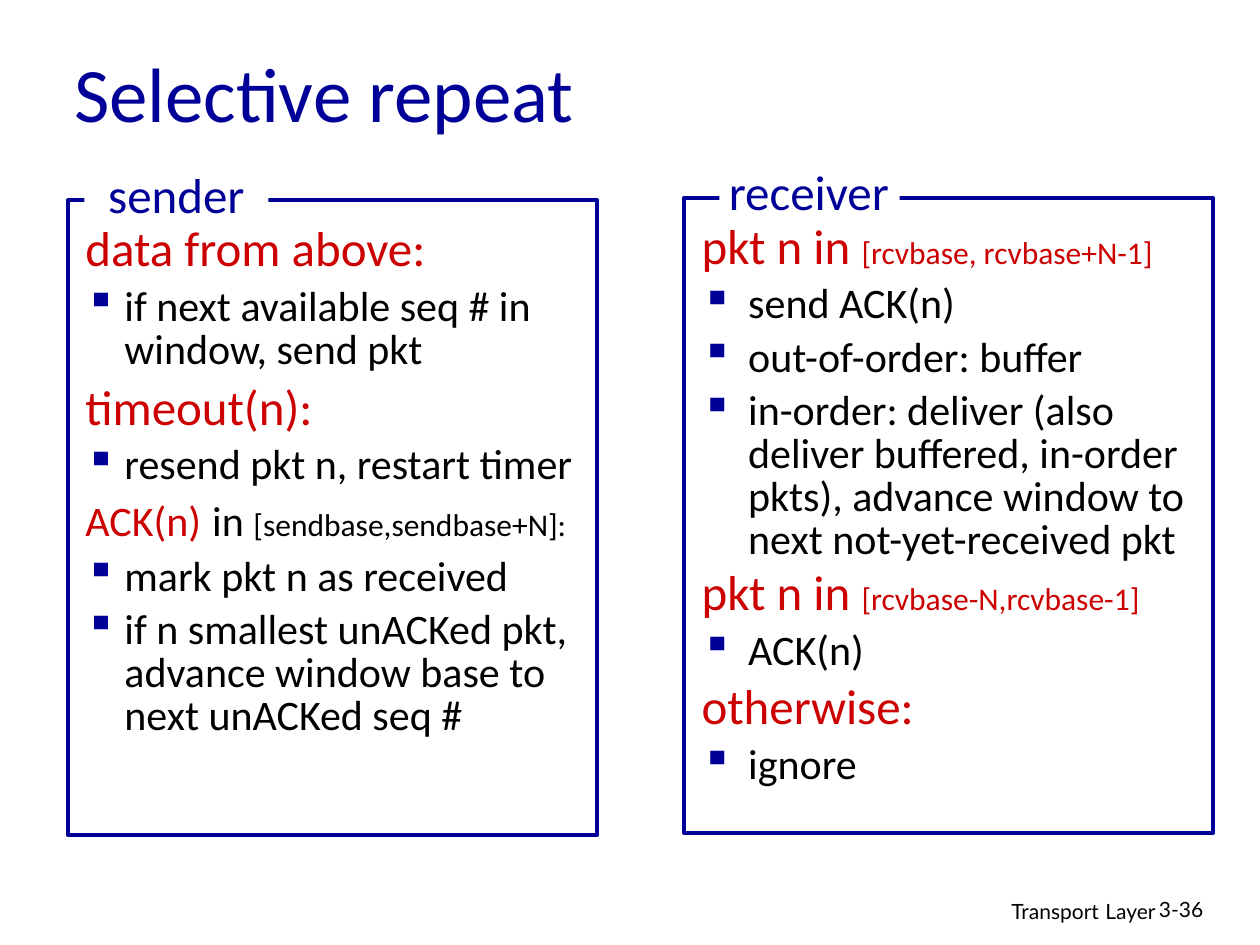
"""Build the Selective repeat slide comparing sender and receiver rules."""
from lxml import etree
from pptx import Presentation
from pptx.dml.color import RGBColor
from pptx.enum.shapes import MSO_SHAPE
from pptx.enum.text import MSO_ANCHOR, PP_ALIGN
from pptx.oxml.ns import qn
from pptx.util import Inches, Pt

RECTANGLE = MSO_SHAPE.RECTANGLE
TOP, MIDDLE = MSO_ANCHOR.TOP, MSO_ANCHOR.MIDDLE
LEFT, CENTER, RIGHT = PP_ALIGN.LEFT, PP_ALIGN.CENTER, PP_ALIGN.RIGHT
NAVY = RGBColor(0x00, 0x00, 0x99)
RED = RGBColor(0xCC, 0x00, 0x00)
BLACK = RGBColor(0x00, 0x00, 0x00)
WHITE = RGBColor(0xFF, 0xFF, 0xFF)

SENDER_RULES = [
    (0, False, [("data from above:", 28, RED)]),
    (6, True, [("if next available seq # in window, send pkt", 24, BLACK)]),
    (7, False, [("timeout(n):", 28, RED)]),
    (6, True, [("resend pkt n, restart timer", 24, BLACK)]),
    (4.5, False, [("ACK(n)", 24, RED), (" ", 28, RED), ("in ", 24, BLACK),
                  ("[sendbase,sendbase+N]:", 18, BLACK)]),
    (6, True, [("mark pkt n as received", 24, BLACK)]),
    (6, True, [("if n smallest unACKed pkt, advance window base to "
                "next unACKed seq #", 24, BLACK)]),
]
RECEIVER_RULES = [
    (0, False, [("pkt n in ", 28, RED), ("[rcvbase, rcvbase+N-1]", 18, RED)]),
    (6, True, [("send ACK(n)", 24, BLACK)]),
    (6, True, [("out-of-order: buffer", 24, BLACK)]),
    (6, True, [("in-order: deliver (also deliver buffered, in-order pkts), "
                "advance window to next not-yet-received pkt", 24, BLACK)]),
    (4.5, False, [("pkt n in ", 28, RED), ("[rcvbase-N,rcvbase-1]", 18, RED)]),
    (6, True, [("ACK(n)", 24, BLACK)]),
    (6, False, [("otherwise:", 28, RED)]),
    (6, True, [("ignore", 24, BLACK)]),
]


def add_text(box, anchor=TOP, wrap=True):
    frame = slide.shapes.add_textbox(*map(Inches, box)).text_frame
    frame.word_wrap = wrap
    frame.vertical_anchor = anchor
    return frame


def fill_paragraph(paragraph, pieces, font_name, align=LEFT):
    paragraph.alignment = align
    paragraph.font.name = font_name
    if len(pieces) == 1:
        paragraph.font.size = Pt(pieces[0][1])
        paragraph.font.color.rgb = pieces[0][2]
    for text, size, color in pieces:
        run = paragraph.add_run()
        run.text = text
        if len(pieces) > 1:
            run.font.size = Pt(size)
            run.font.color.rgb = color


prs = Presentation()
prs.slide_width, prs.slide_height = Inches(10), Inches(7.5)
slide = prs.slides.add_slide(prs.slide_layouts[6])

captions = [
    ((6.1, 7.05, 3.17, 0.31), TOP, RIGHT, "Lato",
     [("Transport", 12, BLACK), (" ", 14, BLACK), ("Layer", 12, BLACK)]),
    ((9.1, 7.07, 0.74, 0.3), TOP, LEFT, "Lato", [("3-36", 12, BLACK)]),
    ((0.49, 0.27, 8.5, 0.92), MIDDLE, LEFT, "Calibri",
     [("Selective repeat", 44, NAVY)]),
]
for box, anchor, align, font_name, pieces in captions:
    fill_paragraph(add_text(box, anchor).paragraphs[0], pieces, font_name, align)

panels = [
    ("sender", SENDER_RULES, 0.31, (0.58, 1.75), (0.54, 1.59),
     (0.67, 1.26, 1.46, 0.57), (0.67, 1.26, 1.46, 0.57)),
    ("receiver", RECEIVER_RULES, 0.37, (5.47, 1.73), (5.43, 1.57),
     (5.71, 1.42, 1.43, 0.31), (5.59, 1.23, 1.66, 0.57)),
]
for heading, rules, indent, rules_at, border_at, gap_box, heading_box in panels:
    rules_frame = add_text((*rules_at, 4.17, 5.08))
    for index, (space_before, bulleted, pieces) in enumerate(rules):
        paragraph = rules_frame.add_paragraph() if index else rules_frame.paragraphs[0]
        properties = paragraph._p.get_or_add_pPr()
        properties.set("marL", str(Inches(indent)))
        properties.set("indent", str(-Inches(indent)))
        if bulleted:
            bullet_color = etree.SubElement(properties, qn("a:buClr"))
            etree.SubElement(bullet_color, qn("a:srgbClr"), val=str(NAVY))
            etree.SubElement(properties, qn("a:buChar"), char="▪")
        paragraph.line_spacing = 0.85
        paragraph.space_before = Pt(space_before)
        fill_paragraph(paragraph, pieces, "Calibri")

    border = slide.shapes.add_shape(RECTANGLE, *map(Inches, (*border_at, 4.2, 5.04)))
    border.shadow.inherit = False
    border.fill.background()
    border.line.color.rgb = NAVY
    border.line.width = Pt(2.25)

    gap = slide.shapes.add_shape(RECTANGLE, *map(Inches, gap_box))
    gap.shadow.inherit = False
    gap.fill.solid()
    gap.fill.fore_color.rgb = WHITE
    gap.line.fill.background()

    heading_frame = add_text(heading_box, wrap=False)
    fill_paragraph(heading_frame.paragraphs[0], [(heading, 28, NAVY)], "Calibri", CENTER)

prs.save("out.pptx")
